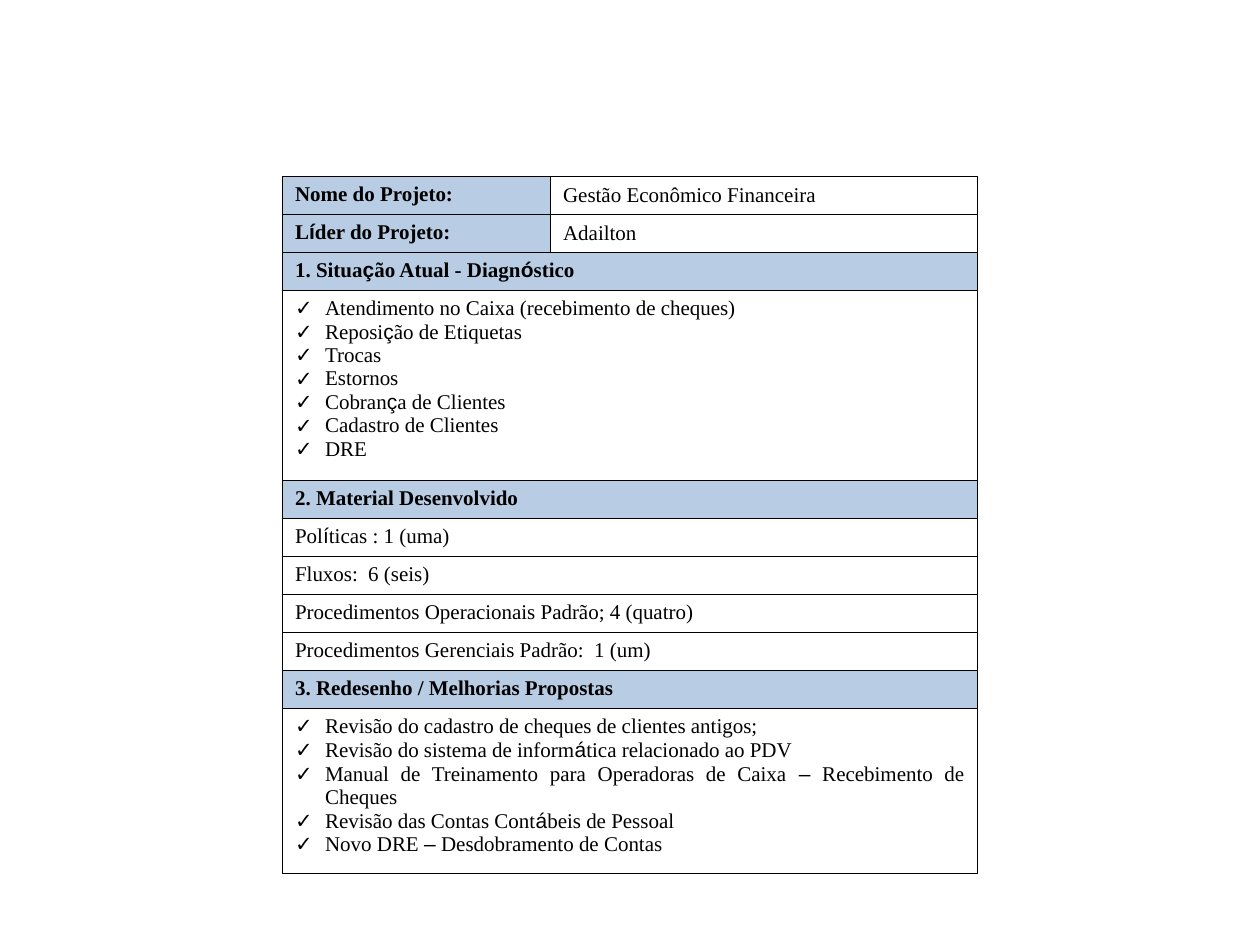
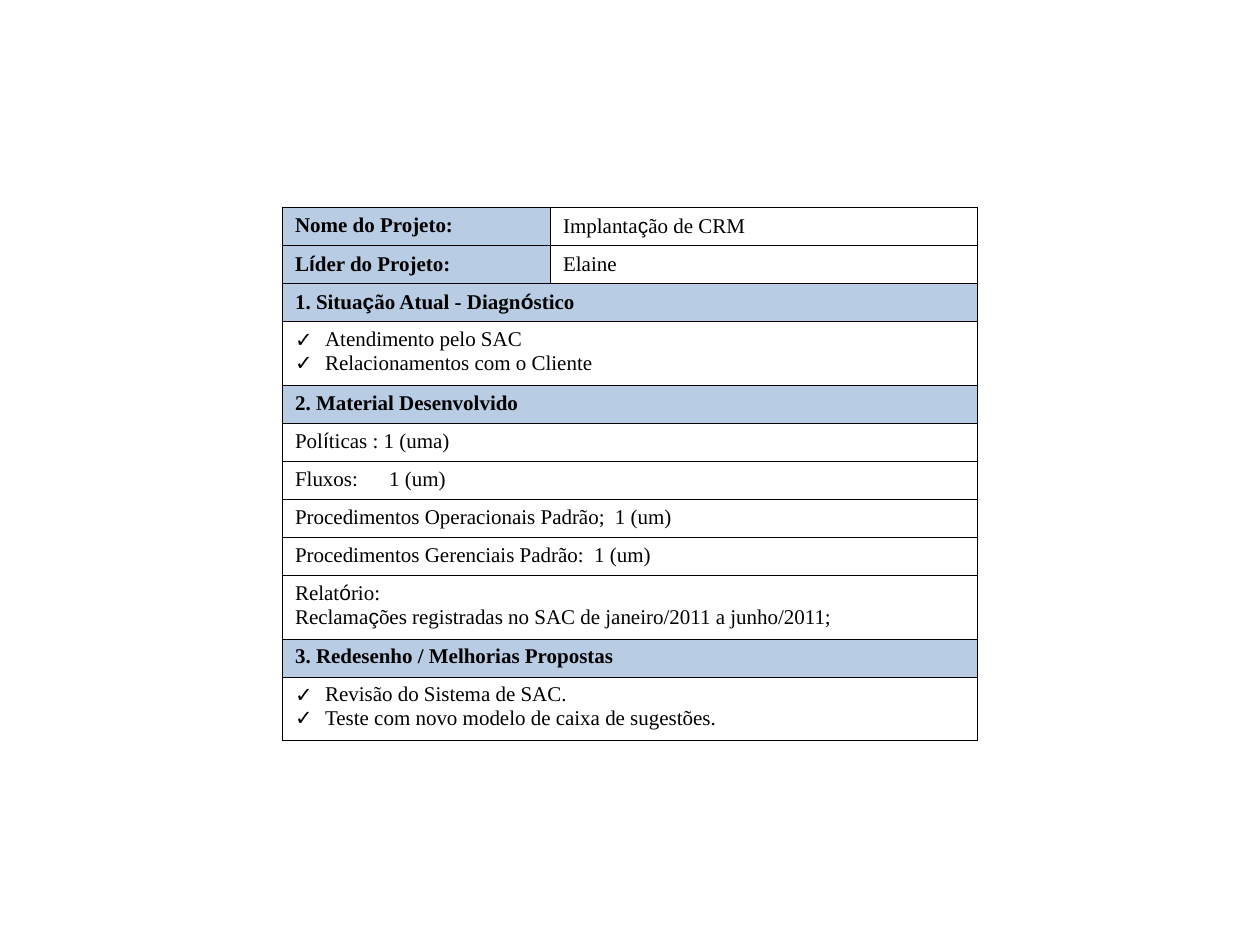
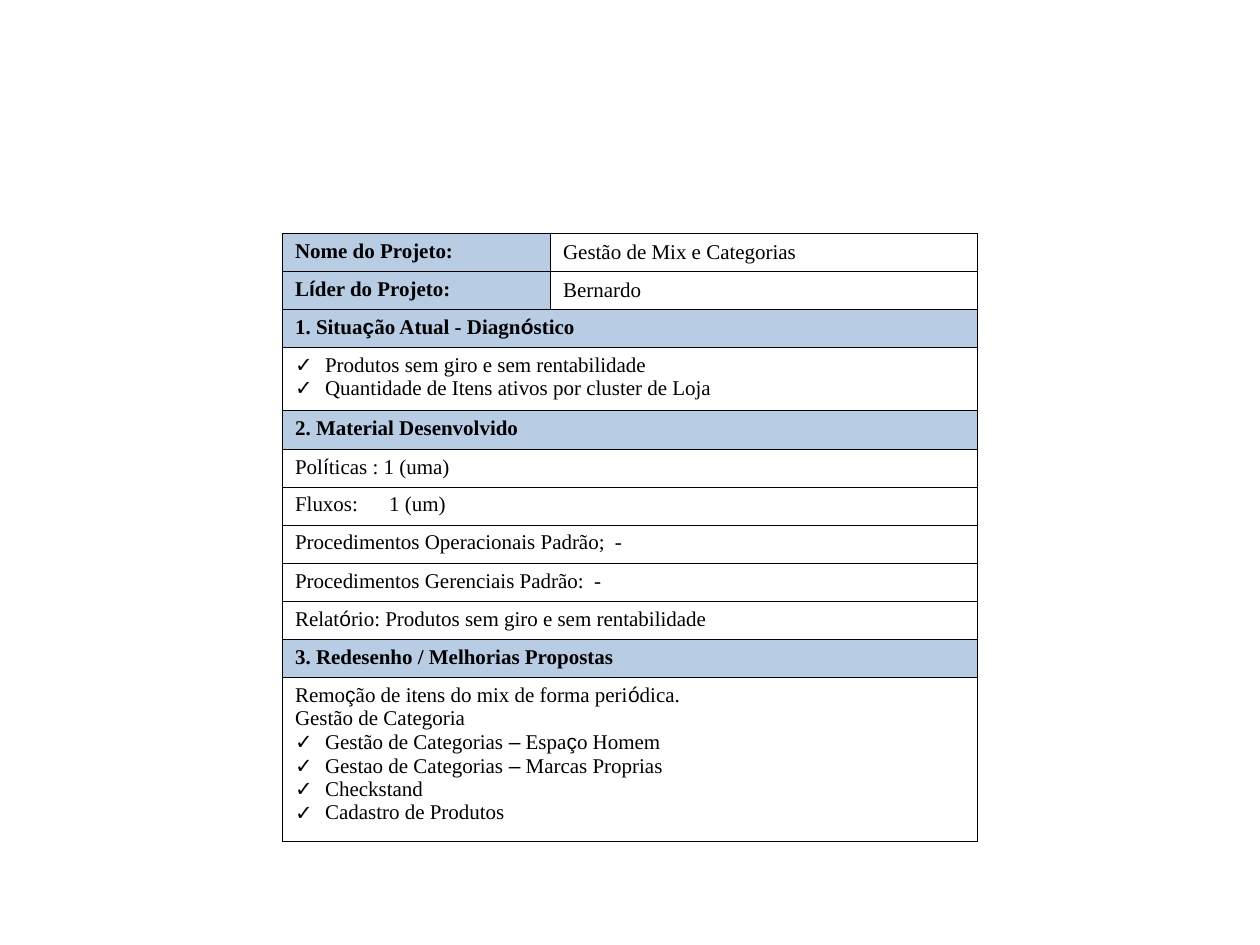
from dataclasses import dataclass
from itertools import groupby
from typing import Any, Optional

from lxml.etree import SubElement
from pptx import Presentation
from pptx.dml.color import RGBColor
from pptx.enum.text import MSO_ANCHOR, PP_ALIGN
from pptx.oxml.ns import qn
from pptx.util import Pt

COLORS = {"ink": "000000", "band": "B8CCE4", "plain": "FFFFFF"}
FONTS = {False: "Times New Roman", True: "Arial"}
ARIAL = "íçóá–"
LEFT = 161.4
WIDTHS = (153.2, 243.8)
BASE = 21.77
PAIR = 36.25
MARGIN = 17.15
BORDER = 0.45
TABLE = {"first_row": False, "horz_banding": False}
CELL = {
    "margin_left": Pt(7.2),
    "margin_right": Pt(7.2),
    "margin_top": Pt(3.6),
    "margin_bottom": Pt(3.6),
}
STYLES = {
    "head": {"bold": True, "align": PP_ALIGN.JUSTIFY},
    "item": {"bold": False, "align": PP_ALIGN.JUSTIFY},
    "note": {"bold": False, "align": PP_ALIGN.JUSTIFY},
    "line": {"bold": False, "align": PP_ALIGN.LEFT},
}


@dataclass
class Para:
    text: str
    kind: str = "line"
    stop: float = 0


@dataclass
class Row:
    paras: list[Para]
    tall: float = BASE
    value: Optional[Para] = None


@dataclass
class Sheet:
    top: float
    name: str
    leader: str
    state: Row
    work: list[Row]
    plan: Row


def head(text: str, value: Optional[str] = None) -> Row:
    return Row([Para(text, "head")], value=Para(value) if value else None)


def line(text: str, stop: float = 0) -> Row:
    return Row([Para(text, stop=stop)])


def items(*texts: str) -> list[Para]:
    return [Para(text, "item") for text in texts]


def put(thing: Any, values: dict[str, Any]) -> None:
    for key, value in values.items():
        setattr(thing, key, value)


def border(cell: Any) -> None:
    props = cell._tc.get_or_add_tcPr()
    for side in "LRTB":
        edge = SubElement(props, qn(f"a:ln{side}"), w=str(Pt(BORDER)))
        fill = SubElement(edge, qn("a:solidFill"))
        SubElement(fill, qn("a:srgbClr"), val=COLORS["ink"])


def mark(props: Any) -> None:
    props.set("marL", str(Pt(MARGIN)))
    props.set("indent", str(-Pt(MARGIN)))
    tint = SubElement(props, qn("a:buClr"))
    SubElement(tint, qn("a:srgbClr"), val=COLORS["ink"])
    SubElement(props, qn("a:buFont"), typeface=FONTS[True])
    SubElement(props, qn("a:buChar"), char="✓")


def write(block: Any, para: Para) -> None:
    style = STYLES[para.kind]
    block.alignment = style["align"]
    props = block._p.get_or_add_pPr()
    if para.kind == "item":
        mark(props)
    if para.stop:
        tabs = SubElement(props, qn("a:tabLst"))
        SubElement(tabs, qn("a:tab"), pos=str(Pt(para.stop)), algn="l")
    for arial, chars in groupby(para.text, lambda char: char in ARIAL):
        run = block.add_run()
        run.text = "".join(chars)
        put(run.font, {"name": FONTS[arial], "size": Pt(12), "bold": style["bold"]})
        run.font.color.rgb = RGBColor.from_string(COLORS["ink"])


def fill(cell: Any, paras: list[Para]) -> None:
    put(cell, CELL)
    border(cell)
    tone = "band" if paras and paras[0].kind == "head" else "plain"
    cell.fill.solid()
    cell.fill.fore_color.rgb = RGBColor.from_string(COLORS[tone])
    frame = cell.text_frame
    for spot, para in enumerate(paras):
        write(frame.add_paragraph() if spot else frame.paragraphs[0], para)


def draw(deck: Any, sheet: Sheet) -> None:
    rows = [
        head("Nome do Projeto:", sheet.name),
        head("Líder do Projeto:", sheet.leader),
        head("1. Situação Atual - Diagnóstico"),
        sheet.state,
        head("2. Material Desenvolvido"),
        line("Políticas : 1 (uma)"),
        *sheet.work,
        head("3. Redesenho / Melhorias Propostas"),
        sheet.plan,
    ]
    slide = deck.slides.add_slide(deck.slide_layouts[6])
    tall = sum(row.tall for row in rows)
    table = slide.shapes.add_table(
        len(rows), len(WIDTHS), Pt(LEFT), Pt(sheet.top), Pt(sum(WIDTHS)), Pt(tall)
    ).table
    put(table, TABLE)
    for column, width in zip(table.columns, WIDTHS):
        column.width = Pt(width)
    for spot, row in enumerate(rows):
        table.rows[spot].height = Pt(row.tall)
        first, last = table.cell(spot, 0), table.cell(spot, 1)
        fill(first, row.paras)
        fill(last, [row.value] if row.value else [])
        if row.value:
            last.vertical_anchor = MSO_ANCHOR.MIDDLE
        else:
            first.merge(last)


SHEETS = [
    Sheet(
        100.8,
        "Gestão Econômico Financeira",
        "Adailton",
        Row(
            items(
                "Atendimento no Caixa (recebimento de cheques)",
                "Reposição de Etiquetas",
                "Trocas",
                "Estornos",
                "Cobrança de Clientes",
                "Cadastro de Clientes",
                "DRE",
            ),
            108.5,
        ),
        [
            line("Fluxos:\t6 (seis)", 41.8),
            line("Procedimentos Operacionais Padrão; 4 (quatro)"),
            line("Procedimentos Gerenciais Padrão:\t1 (um)", 170.9),
        ],
        Row(
            items(
                "Revisão do cadastro de cheques de clientes antigos;",
                "Revisão do sistema de informática relacionado ao PDV",
                "Manual de Treinamento para Operadoras de Caixa – Recebimento de Cheques",
                "Revisão das Contas Contábeis de Pessoal",
                "Novo DRE – Desdobramento de Contas",
            ),
            94,
        ),
    ),
    Sheet(
        118.7,
        "Implantação de CRM",
        "Elaine",
        Row(items("Atendimento pelo SAC", "Relacionamentos com o Cliente"), PAIR),
        [
            line("Fluxos:\t1 (um)", 53.8),
            line("Procedimentos Operacionais Padrão;\t1 (um)", 182.8),
            line("Procedimentos Gerenciais Padrão:\t1 (um)", 170.9),
            Row(
                [
                    Para("Relatório:", "note"),
                    Para(
                        "Reclamações registradas no SAC de janeiro/2011 a junho/2011;",
                        "note",
                    ),
                ],
                PAIR,
            ),
        ],
        Row(
            items(
                "Revisão do Sistema de SAC.",
                "Teste com novo modelo de caixa de sugestões.",
            ),
            PAIR,
        ),
    ),
    Sheet(
        133.3,
        "Gestão de Mix e Categorias",
        "Bernardo",
        Row(
            items(
                "Produtos sem giro e sem rentabilidade",
                "Quantidade de Itens ativos por cluster de Loja",
            ),
            PAIR,
        ),
        [
            line("Fluxos:\t1 (um)", 53.8),
            line("Procedimentos Operacionais Padrão;\t-", 182.8),
            line("Procedimentos Gerenciais Padrão:\t-", 170.9),
            Row([Para("Relatório: Produtos sem giro e sem rentabilidade", "note")]),
        ],
        Row(
            [
                Para("Remoção de itens do mix de forma periódica.", "note"),
                Para("Gestão de Categoria", "note"),
                *items(
                    "Gestão de Categorias – Espaço Homem",
                    "Gestao de Categorias – Marcas Proprias",
                    "Checkstand",
                    "Cadastro de Produtos",
                ),
            ],
            94,
        ),
    ),
]


def main() -> None:
    deck = Presentation()
    put(deck, {"slide_width": Pt(720), "slide_height": Pt(540)})
    for sheet in SHEETS:
        draw(deck, sheet)
    deck.save("out.pptx")


if __name__ == "__main__":
    main()
